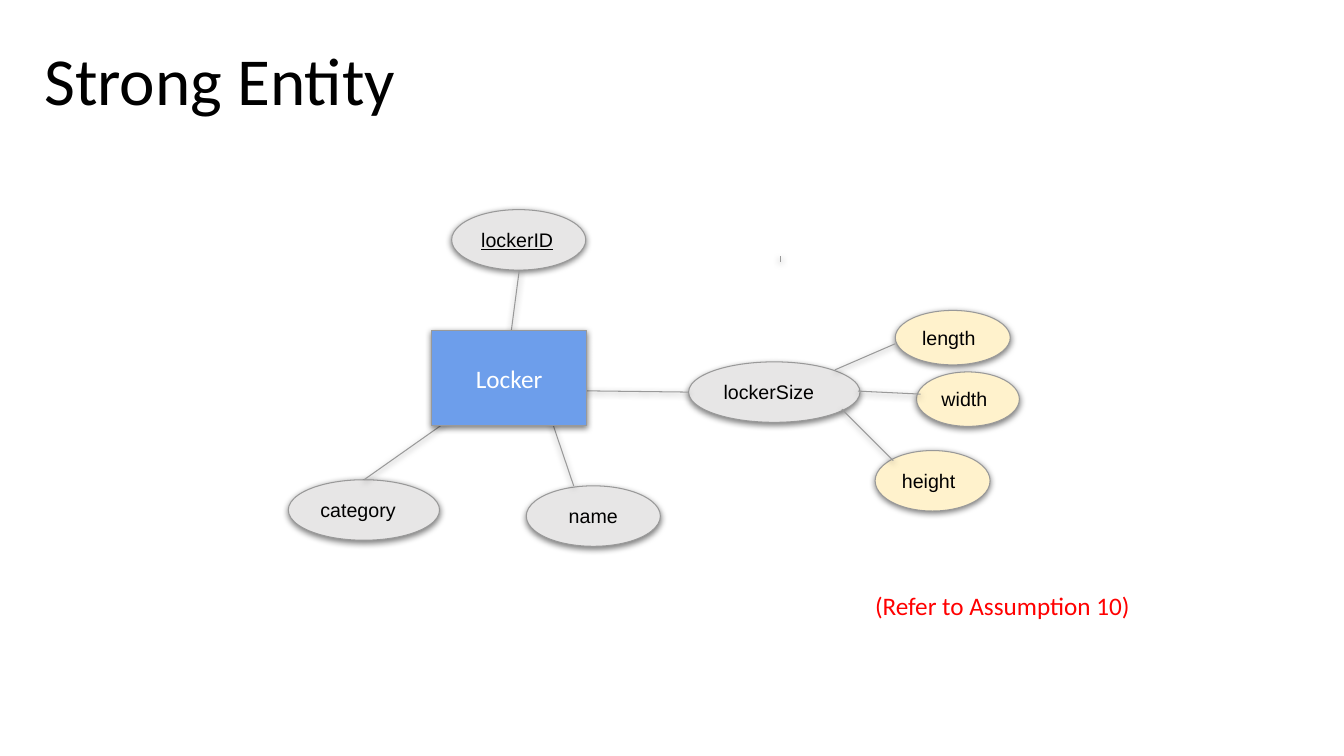
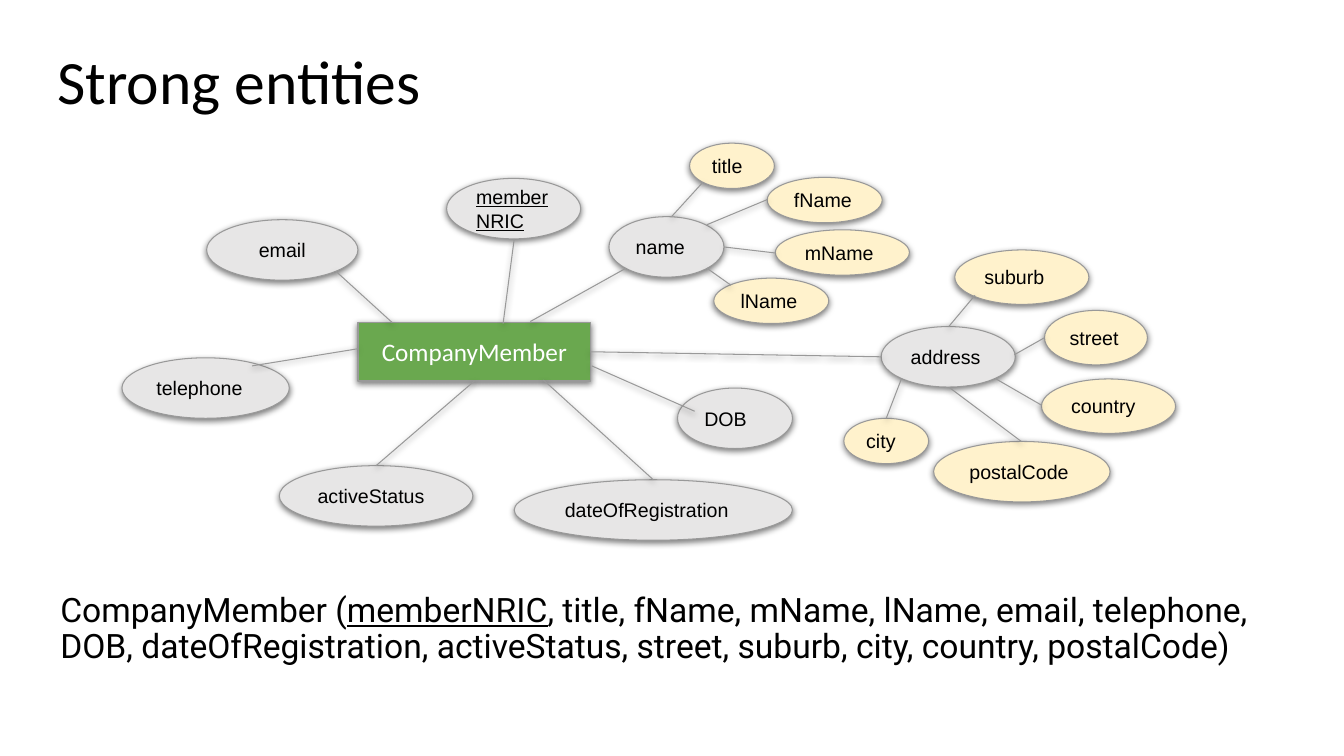
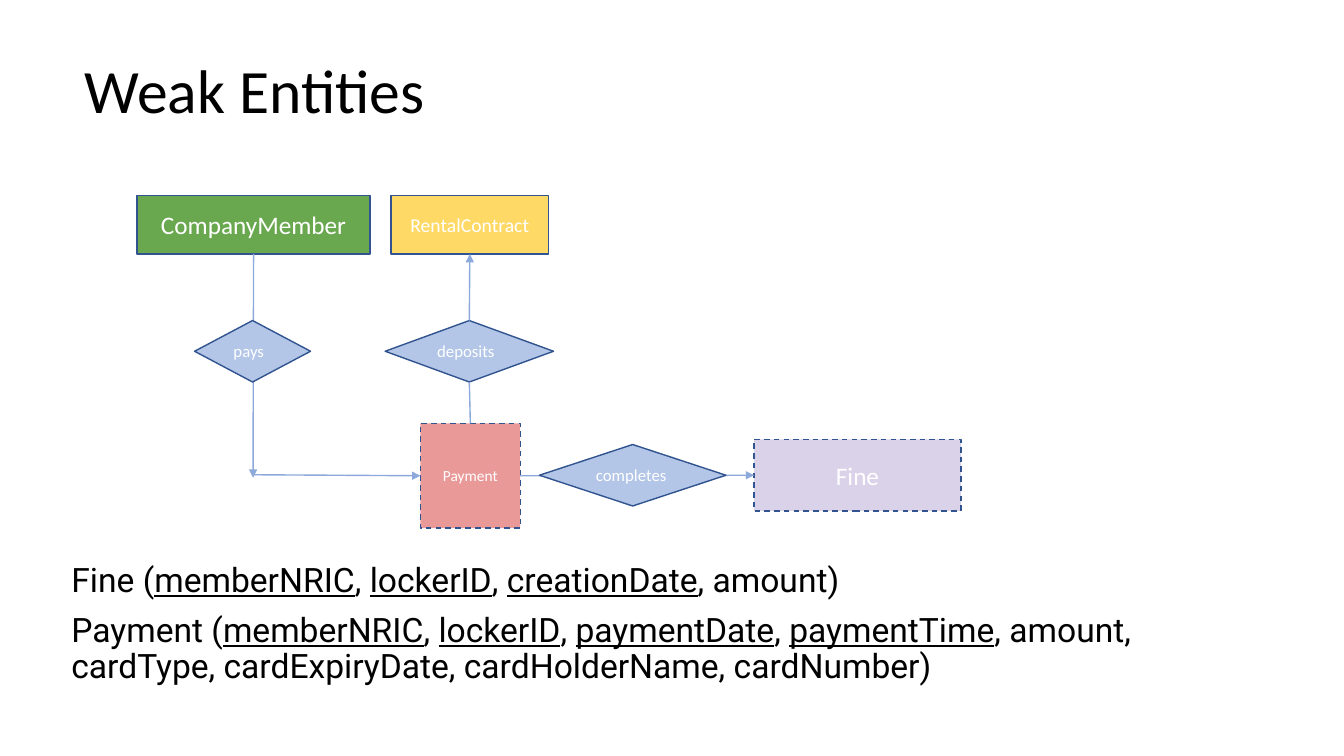
from dataclasses import dataclass
from typing import Optional, Union

import pptx
import pptx.dml.color
import pptx.enum.dml
import pptx.enum.shapes
import pptx.enum.text
import pptx.oxml.ns
import pptx.util
from lxml import etree

Inches = pptx.util.Inches
Pt = pptx.util.Pt
Shapes = pptx.enum.shapes.MSO_SHAPE
Align = pptx.enum.text.PP_ALIGN
Anchor = pptx.enum.text.MSO_ANCHOR
qn = pptx.oxml.ns.qn

COLORS = {
    "black": "000000", "white": "FFFFFF", "red": "FF0000",
    "attribute": "E7E6E6", "component": "FFF2CC", "outline": "999999",
    "locker": "6D9EEB", "member": "6AA84F", "contract": "FFD966",
    "payment": "EA9999", "fine": "D9D2E9", "relationship": "B3C6E7",
    "border": "31538F", "arrow": "8DA9DB",
}
TITLE_SIZE = (11.5, 1.45)
TOP, LEFT, BOTTOM, RIGHT = range(4)


@dataclass
class Node:
    text: str
    left: float
    top: float
    width: float
    height: float
    fill: str
    kind: int = Shapes.OVAL
    size: int = 14
    font: str = "Arial"
    color: str = "black"
    line: str = "outline"
    line_width: float = 0.75
    centered: bool = False
    underline: bool = False
    dashed: bool = False
    shadow: bool = True


@dataclass
class Joint:
    node: str
    side: int


End = Union[Joint, tuple[float, float]]


@dataclass
class Link:
    start: End
    end: End
    arrow: bool = False
    color: str = "outline"
    width: float = 0.75
    shadow: bool = True


# Node kinds
def attribute(text: str, left: float, top: float, width: float = 1.33, **options) -> Node:
    return Node(text, left, top, width, 0.6, "attribute", **options)


def component(text: str, left: float, top: float, width: float, height: float) -> Node:
    return Node(text, left, top, width, height, "component")


def entity(text: str, left: float, top: float, width: float, height: float,
           fill: str, size: int = 18, **options) -> Node:
    return Node(text, left, top, width, height, fill, Shapes.RECTANGLE, size,
                "Calibri", "white", line_width=1, centered=True, **options)


def flat_entity(text: str, left: float, top: float, width: float, height: float,
                fill: str, size: int = 18, dashed: bool = False) -> Node:
    return entity(text, left, top, width, height, fill, size,
                  line="border", shadow=False, dashed=dashed)


def relationship(text: str, left: float, top: float, width: float) -> Node:
    return Node(text, left, top, width, 0.61, "relationship", Shapes.FLOWCHART_DECISION,
                12, "Calibri", "white", "border", 1, shadow=False)


def flow(start: End, end: End, arrow: bool = True) -> Link:
    return Link(start, end, arrow, "arrow", 1, shadow=False)


# Drawing
def rgb(name: str) -> pptx.dml.color.RGBColor:
    return pptx.dml.color.RGBColor.from_string(COLORS[name])


def style_font(font, name: str, size: float, color: str) -> None:
    font.name, font.size = name, Pt(size)
    font.color.rgb = rgb(color)


def add_shadow(effects) -> None:
    outer = etree.SubElement(effects, qn("a:outerShdw"), blurRad=str(Pt(4.5)),
                             dist=str(Pt(1.5)), dir="5400000", algn="bl", rotWithShape="0")
    color = etree.SubElement(outer, qn("a:srgbClr"), val=COLORS["black"])
    etree.SubElement(color, qn("a:alpha"), val="50000")


def add_node(slide, node: Node):
    shape = slide.shapes.add_shape(node.kind, Inches(node.left), Inches(node.top),
                                   Inches(node.width), Inches(node.height))
    shape.fill.solid()
    shape.fill.fore_color.rgb = rgb(node.fill)
    shape.line.color.rgb = rgb(node.line)
    shape.line.width = Pt(node.line_width)
    if node.dashed:
        shape.line.dash_style = pptx.enum.dml.MSO_LINE.DASH
    shape.shadow.inherit = False
    if node.shadow:
        add_shadow(shape._element.spPr.find(qn("a:effectLst")))
    frame = shape.text_frame
    frame.text = node.text
    frame.vertical_anchor = Anchor.MIDDLE
    if node.kind == Shapes.OVAL:
        frame.margin_top = frame.margin_bottom = Inches(0.1)
    for paragraph in frame.paragraphs:
        paragraph.alignment = Align.CENTER if node.centered else Align.LEFT
        style_font(paragraph.font, node.font, node.size, node.color)
        paragraph.font.underline = node.underline
    return shape


def add_nodes(slide, nodes: list[Node]) -> dict:
    return {node.text: add_node(slide, node) for node in nodes}


def add_link(slide, link: Link, shapes: dict) -> None:
    points = [(0, 0) if isinstance(end, Joint) else end for end in (link.start, link.end)]
    connector = slide.shapes.add_connector(
        pptx.enum.shapes.MSO_CONNECTOR.STRAIGHT,
        *(Inches(value) for point in points for value in point))
    if isinstance(link.start, Joint):
        connector.begin_connect(shapes[link.start.node], link.start.side)
    if isinstance(link.end, Joint):
        connector.end_connect(shapes[link.end.node], link.end.side)
    connector.line.color.rgb = rgb(link.color)
    connector.line.width = Pt(link.width)
    properties = connector._element.spPr
    if link.arrow:
        etree.SubElement(properties.find(qn("a:ln")), qn("a:tailEnd"), type="triangle")
    effects = etree.SubElement(properties, qn("a:effectLst"))
    if link.shadow:
        add_shadow(effects)


def add_links(slide, links: list[Link], shapes: dict) -> None:
    for link in links:
        add_link(slide, link, shapes)


def add_text_box(slide, left: float, top: float, width: float, height: float):
    frame = slide.shapes.add_textbox(Inches(left), Inches(top),
                                     Inches(width), Inches(height)).text_frame
    frame.word_wrap = True
    return frame


def add_schema(slide, left: float, top: float, width: float, height: float,
               relations: list[str]) -> None:
    """Write relations; text between underscores is an underlined key."""
    frame = add_text_box(slide, left, top, width, height)
    for index, relation in enumerate(relations):
        paragraph = frame.add_paragraph() if index else frame.paragraphs[0]
        paragraph.line_spacing = 0.9
        paragraph.space_before = Pt(10)
        style_font(paragraph.font, "Roboto", 24, "black")
        for position, part in enumerate(relation.split("_")):
            run = paragraph.add_run()
            run.text = part
            run.font.underline = position % 2 == 1


def add_titled_slide(presentation, text: str, left: float, top: float, size: int = 44):
    slide = presentation.slides.add_slide(presentation.slide_layouts[5])
    title = slide.shapes.title
    title.left, title.top = Inches(left), Inches(top)
    title.width, title.height = (Inches(length) for length in TITLE_SIZE)
    frame = title.text_frame
    frame.text = text
    frame.auto_size = pptx.enum.text.MSO_AUTO_SIZE.NONE
    frame.vertical_anchor = Anchor.MIDDLE
    paragraph = frame.paragraphs[0]
    paragraph.alignment = Align.LEFT
    paragraph.line_spacing = 0.9
    style_font(paragraph.font, "Calibri", size, "black")
    return slide


# Slides
def build_locker(presentation) -> None:
    slide = add_titled_slide(presentation, "Strong Entity", 0.34, 0.11, 48)
    shapes = add_nodes(slide, [
        attribute("lockerID", 4.48, 2.08, underline=True),
        attribute("lockerSize", 6.83, 3.59, 1.7),
        attribute("category", 2.86, 4.76, 1.5),
        attribute("name", 5.22, 4.82, centered=True),
        component("width", 9.09, 3.69, 1.02, 0.54),
        component("length", 8.88, 3.08, 1.14, 0.54),
        component("height", 8.68, 4.47, 1.14, 0.6),
    ])
    add_links(slide, [
        Link((5.04, 3.52), (5.15, 2.68)),
        Link((4.36, 3.86), (6.83, 3.89)),
        Link((5.45, 4.11), (5.69, 4.82)),
        Link((4.56, 4.09), (3.61, 4.76)),
        Link((7.74, 2.54), (7.74, 2.6)),
        Link((8.28, 3.67), (8.88, 3.41)),
        Link((8.51, 3.88), (9.13, 3.91)),
        Link((8.86, 4.57), (8.35, 4.06)),
    ], shapes)
    add_node(slide, entity("Locker", 4.28, 3.28, 1.54, 0.94, "locker"))

    note = add_text_box(slide, 8.58, 5.76, 3.22, 0.6)
    note.margin_top = Inches(0.1)
    note.text = "(Refer to Assumption 10)"
    style_font(note.paragraphs[0].font, "Calibri", 18, "red")


def build_member(presentation) -> None:
    slide = add_titled_slide(presentation, "Strong entities", 0.47, 0.11)
    add_schema(slide, 0.5, 5.84, 12.64, 1.27, [
        "CompanyMember (_memberNRIC_, title, fName, mName, lName, email, telephone, DOB, "
        "dateOfRegistration, activeStatus, street, suburb, city, country, postalCode)"])
    shapes = add_nodes(slide, [
        entity("CompanyMember", 3.55, 3.2, 2.31, 0.58, "member"),
        attribute("member\nNRIC", 4.43, 1.77, underline=True),
        attribute("address", 8.74, 3.24),
        attribute("email", 2.05, 2.18, 1.5, centered=True),
        attribute("activeStatus", 2.77, 4.62, 1.92),
        attribute("name", 6.04, 2.15, 1.14),
        attribute("DOB", 6.72, 3.85, 1.14),
        attribute("dateOfRegistration", 5.1, 4.76, 2.76),
        attribute("telephone", 1.21, 3.55, 1.66),
        component("title", 6.84, 1.42, 0.84, 0.45),
        component("fName", 7.61, 1.76, 1.14, 0.45),
        component("mName", 7.69, 2.28, 1.33, 0.45),
        component("lName", 7.08, 2.76, 1.14, 0.45),
        component("street", 10.36, 3.08, 1.02, 0.54),
        component("suburb", 9.47, 2.48, 1.33, 0.54),
        component("city", 8.37, 4.15, 0.84, 0.45),
        component("country", 10.33, 3.76, 1.33, 0.54),
        component("postalCode", 9.26, 4.38, 1.75, 0.6),
    ])
    add_links(slide, [
        # Entity to attributes
        Link((4.99, 3.21), (5.1, 2.37)),
        Link((5.26, 3.19), (6.21, 2.66)),
        Link(Joint("CompanyMember", RIGHT), (8.74, 3.54)),
        Link(Joint("CompanyMember", BOTTOM), (3.73, 4.62)),
        Link((3.55, 3.46), (2.5, 3.63)),
        Link((5.87, 3.63), (6.89, 4.08)),
        Link((3.89, 3.2), (3.33, 2.69)),
        Link((5.39, 3.77), (6.48, 4.76)),
        # Name to its components
        Link((6.66, 2.15), (6.97, 1.81)),
        Link((7.01, 2.23), (7.61, 1.98)),
        Link((7.18, 2.45), (7.69, 2.51)),
        Link((7.25, 2.83), (7.01, 2.66)),
        # Address to its components
        Link((9.41, 3.24), (9.67, 2.93)),
        Link((10.06, 3.52), (10.36, 3.35)),
        Link((8.94, 3.76), (8.79, 4.15)),
        Link((10.13, 4.38), (9.41, 3.84)),
        Link((9.88, 3.76), (10.33, 4.02)),
    ], shapes)


def build_weak_entities(presentation) -> None:
    slide = add_titled_slide(presentation, "Weak Entities", 0.74, 0.2)
    add_schema(slide, 0.61, 5.54, 11.5, 1.6, [
        "Fine (_memberNRIC_, _lockerID_, _creationDate_, amount)",
        "Payment (_memberNRIC_, _lockerID_, _paymentDate_, _paymentTime_, amount, "
        "cardType, cardExpiryDate, cardHolderName, cardNumber)"])
    shapes = add_nodes(slide, [
        flat_entity("CompanyMember", 1.36, 1.94, 2.31, 0.58, "member"),
        flat_entity("RentalContract", 3.88, 1.94, 1.56, 0.58, "contract", 14),
        flat_entity("Payment", 4.17, 4.2, 0.99, 1.04, "payment", 11, dashed=True),
        flat_entity("Fine", 7.48, 4.36, 2.05, 0.71, "fine", dashed=True),
        relationship("deposits", 3.82, 3.18, 1.67),
    ])
    add_links(slide, [
        flow(Joint("CompanyMember", BOTTOM), (2.51, 4.74)),
        flow((2.51, 4.71), Joint("Payment", LEFT)),
        flow(Joint("deposits", BOTTOM), Joint("Payment", TOP), arrow=False),
        flow(Joint("deposits", TOP), Joint("RentalContract", BOTTOM)),
        flow(Joint("Payment", RIGHT), Joint("Fine", LEFT)),
    ], shapes)
    # These diamonds cover the lines that run through them
    add_nodes(slide, [
        relationship("pays", 1.93, 3.18, 1.15),
        relationship("completes", 5.35, 4.41, 1.85),
    ])


def main() -> None:
    presentation = pptx.Presentation()
    presentation.slide_width, presentation.slide_height = Inches(13.33), Inches(7.5)
    build_locker(presentation)
    build_member(presentation)
    build_weak_entities(presentation)
    presentation.save("out.pptx")


if __name__ == "__main__":
    main()
